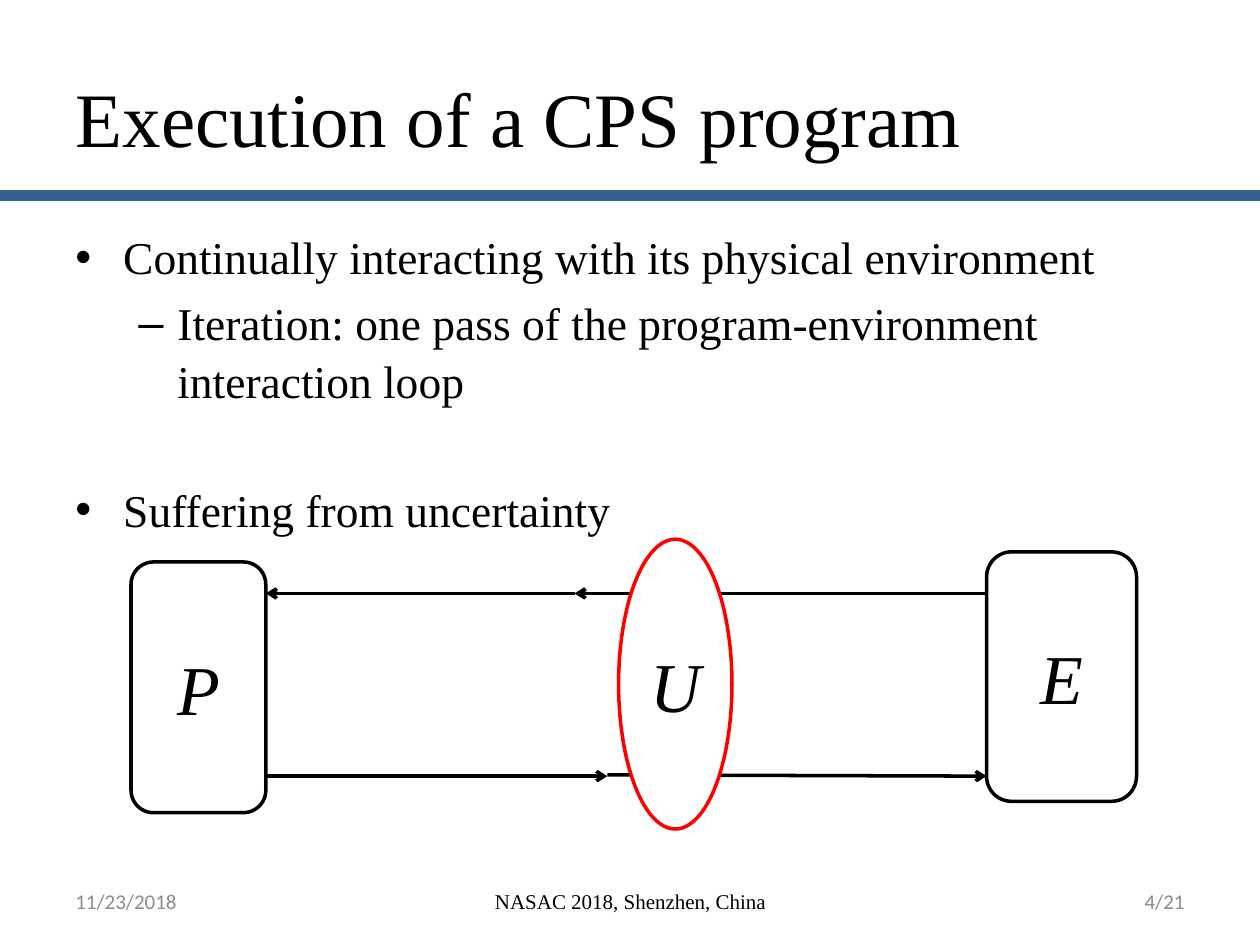
import pptx
import pptx.util
from pptx.dml.color import RGBColor
from pptx.enum.shapes import MSO_CONNECTOR, MSO_SHAPE
from pptx.enum.text import MSO_ANCHOR, PP_ALIGN
from lxml import etree

Inches, Pt = pptx.util.Inches, pptx.util.Pt
W, H = 10, 7.5
MARGIN = W / 20


class Theme:
    serif, sans = "Times New Roman", "Calibri"
    ink, grey, paper = "000000", "8C8C8C", "FFFFFF"
    rule, alert = "376092", "FF0000"
    title, body, node, footer = 44, 26, 40, 12
    stroke, rule_width = 2, 6


TITLE = "Execution of a CPS program"
# text, bullet, left margin, hanging indent, space before
BULLETS = [
    ("Continually interacting with its physical environment", "•", 0.38, 0.38, 0),
    ("Iteration: one pass of the program-environment interaction loop", "–", 0.81, 0.31, 5),
    ("Suffering from uncertainty", "•", 0.38, 0.38, 41),
]
# text, left, width, alignment, font, colour
FOOTERS = [
    ("11/23/2018", MARGIN, 2.33, PP_ALIGN.LEFT, Theme.sans, Theme.grey),
    ("NASAC 2018, Shenzhen, China", 3.42, 3.17, PP_ALIGN.CENTER, Theme.serif, Theme.ink),
    ("4/21", W - MARGIN - 2.33, 2.33, PP_ALIGN.RIGHT, Theme.sans, Theme.grey),
]
# label, preset, box, line colour
NODES = [
    ("P", MSO_SHAPE.ROUNDED_RECTANGLE, (1.04, 4.46, 1.07, 1.99), Theme.ink),
    ("E", MSO_SHAPE.ROUNDED_RECTANGLE, (7.83, 4.38, 1.19, 1.98), Theme.ink),
    ("U", MSO_SHAPE.OVAL, (4.91, 4.28, 0.9, 2.3), Theme.alert),
]
P_RIGHT, E_LEFT = 2.11, 7.83
SENSE_Y, ACT_Y = 4.71, 6.16
ARROWS = [
    (E_LEFT, SENSE_Y, 4.56, SENSE_Y),
    (4.56, SENSE_Y, P_RIGHT, SENSE_Y),
    (4.82, ACT_Y - 0.01, E_LEFT, ACT_Y),
    (P_RIGHT, ACT_Y, 4.82, ACT_Y),
]


def rgb(color):
    return RGBColor.from_string(color)


def write(p, text, size, font=Theme.serif, color=Theme.ink, italic=False,
          align=PP_ALIGN.LEFT):
    p.alignment = align
    r = p.add_run()
    r.text = text
    r.font.size, r.font.name, r.font.italic = Pt(size), font, italic
    r.font.color.rgb = rgb(color)


def add_frame(s, box, anchor):
    tf = s.shapes.add_textbox(*map(Inches, box)).text_frame
    tf.word_wrap = True
    tf.vertical_anchor = anchor
    return tf


def set_bullet(p, char, margin, hanging):
    pPr = p._p.get_or_add_pPr()
    pPr.set("marL", str(Inches(margin)))
    pPr.set("indent", str(-Inches(hanging)))
    ns = pptx.oxml.ns.qn
    etree.SubElement(pPr, ns("a:buFont")).set("typeface", "Arial")
    etree.SubElement(pPr, ns("a:buChar")).set("char", char)


def add_line(s, ends, color, width, arrow=False):
    line = s.shapes.add_connector(MSO_CONNECTOR.STRAIGHT, *map(Inches, ends))
    line.line.color.rgb = rgb(color)
    line.line.width = Pt(width)
    ns = pptx.oxml.ns.qn
    if arrow:
        etree.SubElement(line.line._get_or_add_ln(), ns("a:tailEnd")).set("type", "arrow")
    etree.SubElement(line._element.spPr, ns("a:effectLst"))


def add_node(s, label, preset, box, color):
    sp = s.shapes.add_shape(preset, *map(Inches, box))
    sp.shadow.inherit = False
    sp.fill.solid()
    sp.fill.fore_color.rgb = rgb(Theme.paper)
    sp.line.color.rgb = rgb(color)
    sp.line.width = Pt(Theme.stroke)
    sp.text_frame.vertical_anchor = MSO_ANCHOR.MIDDLE
    write(sp.text_frame.paragraphs[0], label, Theme.node, italic=True,
          align=PP_ALIGN.CENTER)


def main():
    prs = pptx.Presentation()
    prs.slide_width, prs.slide_height = Inches(W), Inches(H)
    s = prs.slides.add_slide(prs.slide_layouts[5])

    add_line(s, (0, 1.55, W, 1.55), Theme.rule, Theme.rule_width)
    title = s.shapes.title
    title.left, title.top, title.width, title.height = map(
        Inches, (MARGIN, 0.3, W - 2 * MARGIN, 1.25))
    title.text_frame.vertical_anchor = MSO_ANCHOR.MIDDLE
    write(title.text_frame.paragraphs[0], TITLE, Theme.title)

    tf = add_frame(s, (MARGIN, 1.75, W - 2 * MARGIN, 4.95), MSO_ANCHOR.TOP)
    for i, (text, char, margin, hanging, before) in enumerate(BULLETS):
        p = tf.add_paragraph() if i else tf.paragraphs[0]
        set_bullet(p, char, margin, hanging)
        p.space_before = Pt(before)
        p.line_spacing = 1.05
        write(p, text, Theme.body)

    for arrow in ARROWS:
        add_line(s, arrow, Theme.ink, Theme.stroke, arrow=True)
    for node in NODES:
        add_node(s, *node)

    for text, left, width, align, font, color in FOOTERS:
        tf = add_frame(s, (left, 6.95, width, 0.4), MSO_ANCHOR.MIDDLE)
        write(tf.paragraphs[0], text, Theme.footer, font, color, align=align)

    prs.save("out.pptx")


if __name__ == "__main__":
    main()
